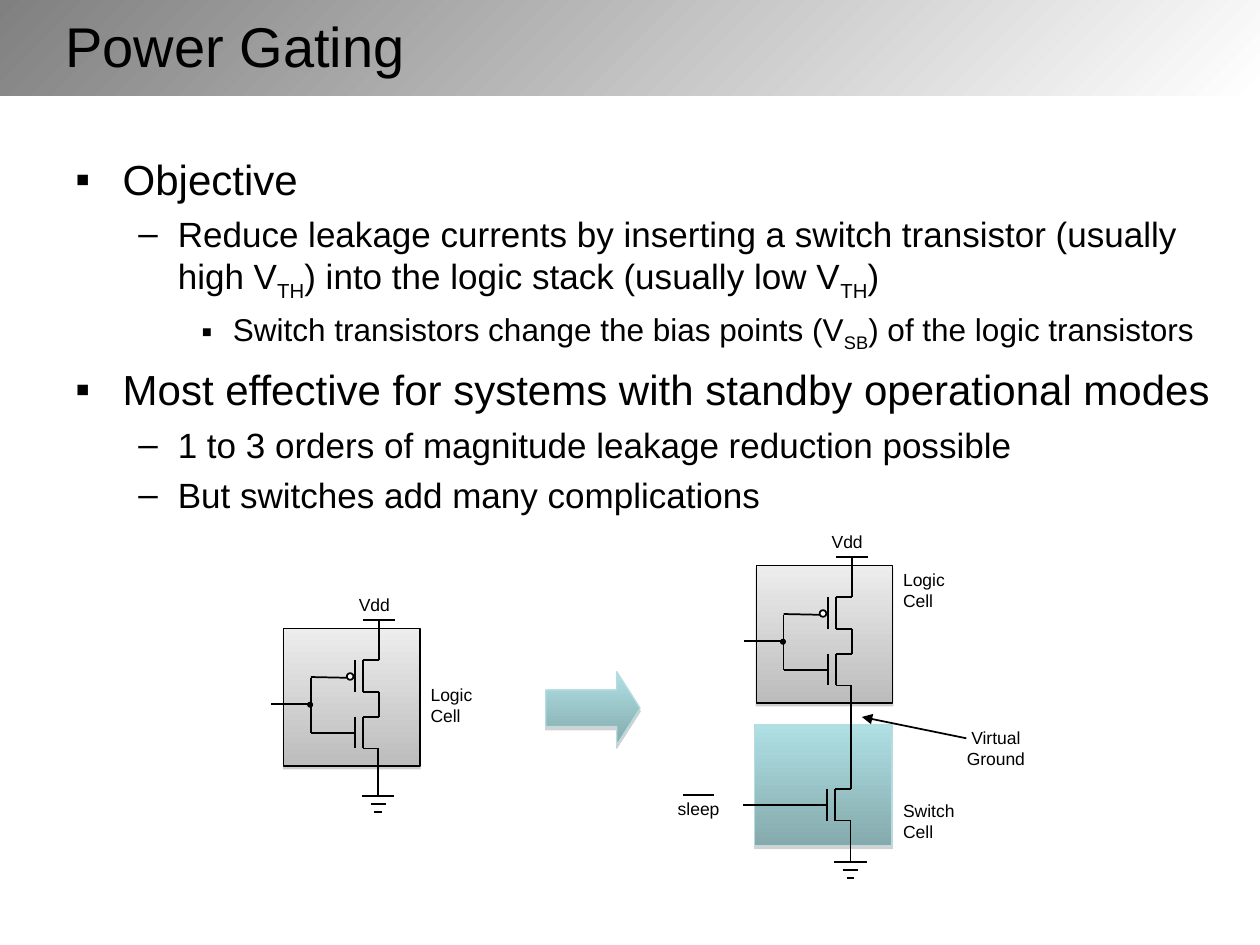
from dataclasses import dataclass

from lxml import etree
from pptx import Presentation
from pptx.dml.color import RGBColor
from pptx.enum import shapes, text
from pptx.oxml.ns import qn
from pptx.util import Pt

FONT = "Arial"
COLORS = {
    "ink": "000000", "paper": "FFFFFF", "band": "808080", "shadow": "808080",
    "gray_top": "EDEDED", "gray_bottom": "BCBCBC",
    "teal_top": "AFE0E4", "teal_bottom": "85AAAD", "teal_edge": "B6DCDF",
}


@dataclass(frozen=True)
class Level:
    size: float
    margin: float
    hanging: float
    before: float
    bullet: str


@dataclass(frozen=True)
class Wire:
    x1: float
    y1: float
    x2: float
    y2: float


@dataclass(frozen=True)
class Label:
    words: str
    left: float
    top: float
    width: float
    height: float
    centered: bool = False


LEVELS = [
    Level(24, 27, 27, 6, "▪"),
    Level(20, 58.5, 22.5, 5, "–"),
    Level(18, 90, 18, 4.5, "▪"),
]
# Every second piece between bars is a subscript.
OUTLINE = [
    (0, "Objective"),
    (1, "Reduce leakage currents by inserting a switch transistor (usually high V"
        "|TH|) into the logic stack (usually low V|TH|)"),
    (2, "Switch transistors change the bias points (V|SB|) of the logic transistors"),
    (0, "Most effective for systems with standby operational modes"),
    (1, "1 to 3 orders of magnitude leakage reduction possible"),
    (1, "But switches add many complications"),
]
# Relative to the top left corner of a logic cell.
CELL_WIRES = [
    Wire(54.5, 18, 54.5, -5), Wire(45.4, -5, 63.6, -5),
    Wire(54.5, 36, 54.5, 50.4), Wire(54.2, 68.4, 54.2, 82.8),
    Wire(15.6, 27.6, 36, 28), Wire(15.6, 28, 15.6, 59.6),
    Wire(15.6, 59.6, 40.8, 59.6), Wire(15.6, 43.2, -7.2, 43.2),
]
TRANSISTOR_WIRES = [
    Wire(0, 0, 0, 18), Wire(4.7, 0, 4.7, 18),
    Wire(4.7, 0, 13.9, 0), Wire(4.7, 18, 13.9, 18),
]
GROUND_WIRES = [Wire(-w / 2, i * 4.6, w / 2, i * 4.6)
                for i, w in enumerate((18.4, 8.8, 4.4))]


def rgb(name: str) -> RGBColor:
    return RGBColor.from_string(COLORS[name])


def add_gradient(fill, start: str, end: str, angle: float) -> None:
    """Angle runs clockwise, in degrees."""
    fill.gradient()
    fill.gradient_angle = 360 - angle
    for stop, name in zip(fill.gradient_stops, (start, end)):
        stop.color.rgb = rgb(name)


def add_panel(parent, kind, left, top, width, height, tone, edge, distance, alpha):
    """Shape with a vertical gradient and a drop shadow."""
    panel = parent.shapes.add_shape(kind, Pt(left), Pt(top), Pt(width), Pt(height))
    add_gradient(panel.fill, f"{tone}_top", f"{tone}_bottom", 90)
    panel.line.color.rgb = rgb(edge)
    panel.line.width = Pt(0.75)
    panel.shadow.inherit = False
    effects = panel.element.spPr.find(qn("a:effectLst"))
    drop = etree.SubElement(effects, qn("a:outerShdw"), blurRad="0",
                            dist=str(Pt(distance)), dir="5400000", rotWithShape="0")
    color = etree.SubElement(drop, qn("a:srgbClr"), val=COLORS["shadow"])
    etree.SubElement(color, qn("a:alpha"), val=str(alpha * 1000))
    return panel


def add_wires(parent, wires: list[Wire], x: float = 0, y: float = 0,
              arrow: bool = False) -> None:
    for w in wires:
        wire = parent.shapes.add_connector(
            shapes.MSO_CONNECTOR.STRAIGHT,
            Pt(x + w.x1), Pt(y + w.y1), Pt(x + w.x2), Pt(y + w.y2))
        wire.line.color.rgb = rgb("ink")
        wire.line.width = Pt(1)
        if arrow:
            etree.SubElement(wire.line._get_or_add_ln(), qn("a:tailEnd"), type="triangle")
        etree.SubElement(wire.element.spPr, qn("a:effectLst"))


def add_dot(parent, left: float, top: float, size: float, fill: str) -> None:
    dot = parent.shapes.add_shape(shapes.MSO_SHAPE.OVAL, Pt(left), Pt(top), Pt(size), Pt(size))
    dot.fill.solid()
    dot.fill.fore_color.rgb = rgb(fill)
    dot.line.color.rgb = rgb("ink")
    dot.line.width = Pt(1)
    dot.shadow.inherit = False


def style(font, size: float) -> None:
    font.name = FONT
    font.size = Pt(size)
    font.color.rgb = rgb("ink")


def add_label(parent, label: Label) -> None:
    box = parent.shapes.add_textbox(Pt(label.left), Pt(label.top),
                                    Pt(label.width), Pt(label.height))
    frame = box.text_frame
    frame.text = label.words
    frame.word_wrap = False
    frame.auto_size = text.MSO_AUTO_SIZE.SHAPE_TO_FIT_TEXT
    for line in frame.paragraphs:
        line.alignment = text.PP_ALIGN.CENTER if label.centered else text.PP_ALIGN.LEFT
        for run in line.runs:
            style(run.font, 10)


def add_logic_cell(parent, x: float, y: float) -> None:
    add_panel(parent, shapes.MSO_SHAPE.RECTANGLE, x, y, 78, 78.5, "gray", "ink", 1.6, 38)
    add_wires(parent, CELL_WIRES, x, y)
    for offset in (18, 50.4):
        add_wires(parent, TRANSISTOR_WIRES, x + 40.8, y + offset)
    add_dot(parent, x + 36.2, y + 25.4, 3.8, "paper")
    add_dot(parent, x + 14, y + 42.2, 2.4, "ink")
    add_label(parent, Label("Vdd", x + 36, y - 23.4, 36, 19.4))


def add_ground(parent, x: float, y: float, lead: float) -> None:
    add_wires(parent, [Wire(0, -lead, 0, 0), *GROUND_WIRES], x, y)


def add_heading(slide) -> None:
    title = slide.shapes.title
    band = slide.shapes.add_shape(shapes.MSO_SHAPE.RECTANGLE, 0, Pt(-0.72), Pt(720), Pt(55.44))
    add_gradient(band.fill, "band", "paper", 45)
    band.line.fill.background()
    band.shadow.inherit = False
    title.element.addprevious(band.element)
    title.left, title.top, title.width, title.height = Pt(30.24), Pt(6.48), Pt(648), Pt(38.16)
    frame = title.text_frame
    frame.text = "Power Gating"
    frame.auto_size = text.MSO_AUTO_SIZE.NONE
    frame.vertical_anchor = text.MSO_ANCHOR.MIDDLE
    frame.paragraphs[0].alignment = text.PP_ALIGN.LEFT
    style(frame.paragraphs[0].runs[0].font, 32)


def add_outline(slide) -> None:
    frame = slide.shapes.add_textbox(Pt(36), Pt(84.24), Pt(666), Pt(398.16)).text_frame
    frame.word_wrap = True
    for i, (depth, words) in enumerate(OUTLINE):
        point = frame.paragraphs[0] if i == 0 else frame.add_paragraph()
        level = LEVELS[depth]
        props = point._p.get_or_add_pPr()
        props.set("marL", str(Pt(level.margin)))
        props.set("indent", str(-Pt(level.hanging)))
        etree.SubElement(props, qn("a:buFont"), typeface=FONT)
        etree.SubElement(props, qn("a:buChar"), char=level.bullet)
        point.level = depth
        point.space_before = Pt(level.before if i else 0)
        for j, piece in enumerate(words.split("|")):
            run = point.add_run()
            run.text = piece
            style(run.font, level.size)
            if j % 2:
                run._r.get_or_add_rPr().set("baseline", "-25000")


def add_gated_circuit(slide) -> None:
    gated = slide.shapes.add_group_shape()
    add_panel(gated, shapes.MSO_SHAPE.RECTANGLE, 431.3, 414, 78.5, 69.1,
              "teal", "teal_edge", 1.8, 35)
    add_logic_cell(gated, 432.2, 323.3)
    add_wires(gated, TRANSISTOR_WIRES, 472.5, 450.9)
    add_wires(gated, [Wire(486.5, 405.4, 486.5, 450.9), Wire(424.8, 460.1, 472.5, 460.1),
                      Wire(390.2, 454.3, 408.2, 454.3)])
    add_ground(gated, 486, 492.4, 23.5)
    add_wires(gated, [Wire(552.2, 421.9, 492.5, 409.7)], arrow=True)
    for label in (Label("Logic\nCell", 509, 321.8, 38.2, 31.7),
                  Label("Switch\nCell", 509, 453.6, 43.9, 31.7),
                  Label("sleep", 380.2, 452.2, 38.2, 19.4),
                  Label("Virtual\nGround", 545, 411.8, 48.2, 31.7, centered=True)):
        add_label(gated, label)


def main() -> None:
    deck = Presentation()
    deck.slide_width, deck.slide_height = Pt(720), Pt(540)
    slide = deck.slides.add_slide(deck.slide_layouts[5])
    add_heading(slide)
    add_outline(slide)
    add_gated_circuit(slide)
    plain = slide.shapes.add_group_shape()
    add_logic_cell(plain, 162, 359.3)
    add_ground(plain, 216.2, 455, 23)
    add_label(plain, Label("Logic\nCell", 239, 387.4, 38.2, 31.7))
    arrow = add_panel(slide, shapes.MSO_SHAPE.RIGHT_ARROW, 311.8, 383.8, 54, 41.8,
                      "teal", "teal_edge", 1.8, 35)
    arrow.adjustments[0], arrow.adjustments[1] = 0.5, 0.32
    deck.save("out.pptx")


if __name__ == "__main__":
    main()
